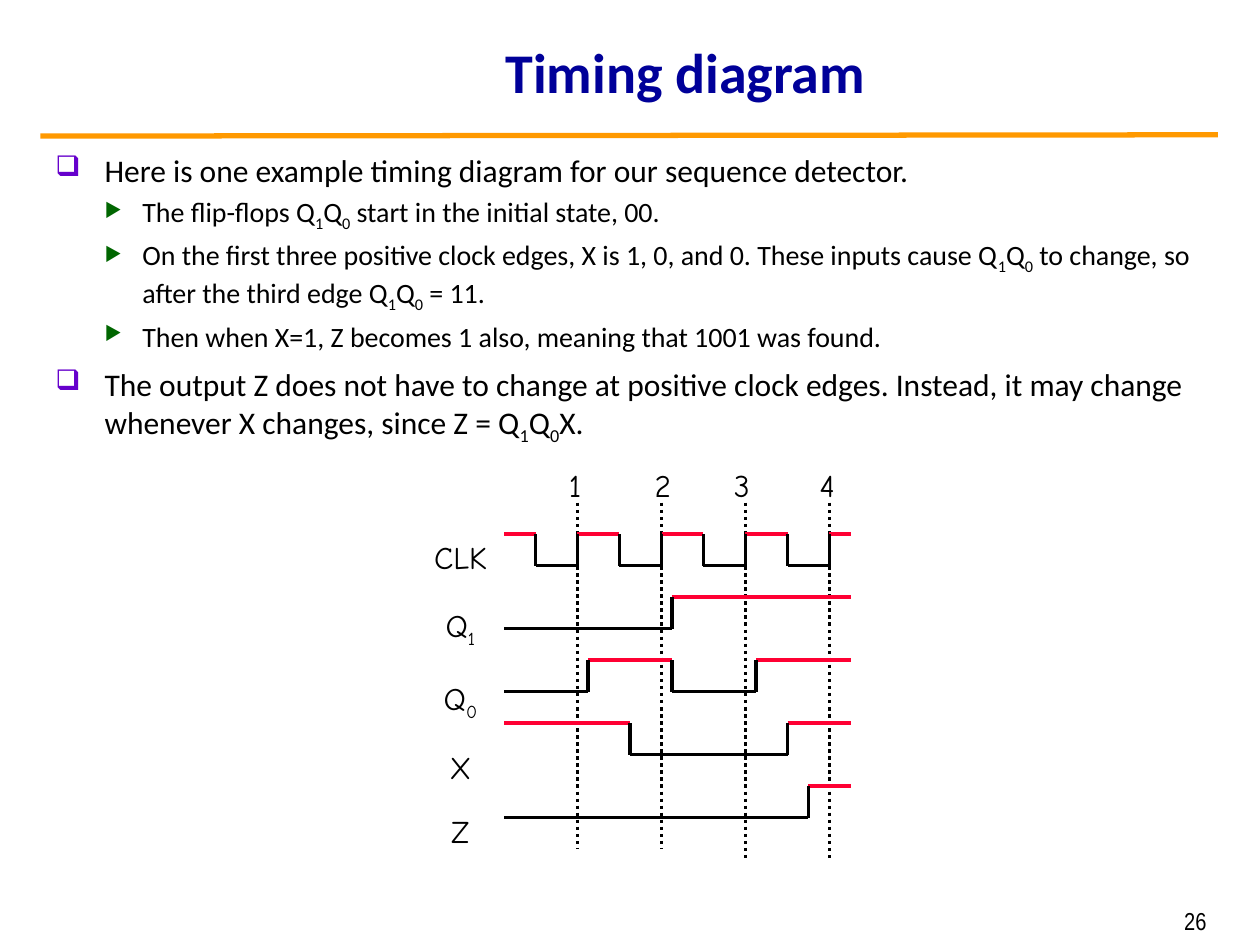
"""Build the timing diagram slide of a sequence detector."""
from lxml.etree import SubElement
from pptx import Presentation
from pptx.dml.color import RGBColor
from pptx.enum.dml import MSO_LINE as DASH
from pptx.enum.shapes import MSO_CONNECTOR as CONN
from pptx.enum.text import MSO_ANCHOR as ANCHOR, PP_ALIGN as ALIGN
from pptx.oxml.ns import qn
from pptx.util import Inches, Pt

rgb = RGBColor.from_string
prs = Presentation()
prs.slide_width, prs.slide_height = Inches(10), Inches(7.5)
COL, ROW = prs.slide_width / 120, prs.slide_height / 30
s = prs.slides.add_slide(prs.slide_layouts[5])


def write(p, text, color="000000", **fmt):
    """Add text to a paragraph; the character after each _ is a subscript."""
    for i, part in enumerate(text.split("_")):
        pieces = [(part[:1], True), (part[1:], False)] if i else [(part, False)]
        for piece, low in pieces:
            if piece:
                r = p.add_run()
                r.text = piece
                r.font.color.rgb = rgb(color)
                for name, value in fmt.items():
                    setattr(r.font, name, value)
                if low:
                    r.font._element.set("baseline", "-25000")


def line(x1, y1, x2, y2, color="000000", width=2, dash=None):
    """Draw a straight line between two points of the grid."""
    ends = [int(v) for v in (x1 * COL, y1 * ROW, x2 * COL, y2 * ROW)]
    c = s.shapes.add_connector(CONN.STRAIGHT, *ends)
    c.line.color.rgb, c.line.width = rgb(color), Pt(width)
    if dash:
        c.line.dash_style = dash
    SubElement(c._element.spPr, qn("a:effectLst"))


line(3.84, 4.32, 116, 4.28, "FF9900", 3)

BOXES = {
    "title": (14.6, 0.52, 101.4, 3.48),
    "body": (4.1, 4.6, 112.1, 23.9),
    "labels": (40, 16.28, 7.7, 10.36),
    "edges": (53, 14.6, 28.2, 1.6),
    "number": (87.8, 28.56, 28.3, 1.24),
}
frames = {}
for name, (x, y, w, h) in BOXES.items():
    sp = s.shapes.title if name == "title" else s.shapes.add_textbox(0, 0, 0, 0)
    place = {"left": x * COL, "top": y * ROW, "width": w * COL, "height": h * ROW}
    for key, value in place.items():
        setattr(sp, key, int(value))
    frames[name] = sp.text_frame
    frames[name].word_wrap = name != "labels"

tf = frames["title"]
tf.vertical_anchor = ANCHOR.MIDDLE
tf.paragraphs[0].alignment = ALIGN.CENTER
write(tf.paragraphs[0], "Timing diagram", "000099", name="Calibri", size=Pt(32), bold=True)

LEVELS = [
    dict(size=18, before=7, margin=0.39, hang=0.39, mark="❑", color="6600CC", scale=90),
    dict(size=16, before=3, margin=0.69, hang=0.3, mark="▶", color="006600", scale=70),
]
POINTS = [
    (0, "Here is one example timing diagram for our sequence detector."),
    (1, "The flip-flops Q_1Q_0 start in the initial state, 00."),
    (1, "On the first three positive clock edges, X is 1, 0, and 0. These inputs cause "
        "Q_1Q_0 to change, so after the third edge Q_1Q_0 = 11."),
    (1, "Then when X=1, Z becomes 1 also, meaning that 1001 was found."),
    (0, "The output Z does not have to change at positive clock edges. Instead, it may "
        "change whenever X changes, since Z = Q_1Q_0X."),
]
tf = frames["body"]
for i, (level, text) in enumerate(POINTS):
    p = tf.add_paragraph() if i else tf.paragraphs[0]
    look = LEVELS[level]
    p.level, p.space_before = level, Pt(look["before"])
    pPr = p._p.get_or_add_pPr()
    pPr.set("marL", str(Inches(look["margin"])))
    pPr.set("indent", str(-Inches(look["hang"])))
    SubElement(SubElement(pPr, qn("a:buClr")), qn("a:srgbClr")).set("val", look["color"])
    SubElement(pPr, qn("a:buSzPct")).set("val", str(look["scale"] * 1000))
    SubElement(pPr, qn("a:buChar")).set("char", look["mark"])
    write(p, text, name="Calibri", size=Pt(look["size"]))

START, END, TOP = 48, 81, 16.96
EDGES = (55, 63, 71, 79)
for x, bottom in zip(EDGES, (26.96, 26.96, 27.28, 27.28)):
    line(x, 15.96, x, bottom, dash=DASH.ROUND_DOT)

SIGNALS = [
    ("CLK", 1, range(51, 80, 4)),
    ("Q_1", 0, [64]),
    ("Q_0", 0, [56, 64, 72]),
    ("X", 1, [60, 75]),
    ("Z", 0, [77]),
]
tf = frames["labels"]
for i, (label, high, toggles) in enumerate(SIGNALS):
    p = tf.add_paragraph() if i else tf.paragraphs[0]
    p.alignment, p.line_spacing = ALIGN.CENTER, 1.7 if i else 1.5
    write(p, label, name="Comic Neue", size=Pt(18))
    top = TOP + 2 * i
    stops = [START, *toggles, END]
    for x1, x2 in zip(stops, stops[1:]):
        y = top if high else top + 1
        line(x1, y, x2, y, "FF0033" if high else "000000")
        high = not high
    for x in toggles:
        line(x, top + 1, x, top)

p = frames["edges"].paragraphs[0]
tabs = SubElement(p._p.get_or_add_pPr(), qn("a:tabLst"))
for stop in (0.68, 1.31, 1.99):
    tab = SubElement(tabs, qn("a:tab"))
    tab.set("pos", str(Inches(stop)))
    tab.set("algn", "l")
write(p, "\t".join("1234"), name="Comic Neue", size=Pt(18))

p = frames["number"].paragraphs[0]
p.alignment = ALIGN.RIGHT
write(p, "26", name="Arial Narrow", size=Pt(14))

prs.save("out.pptx")
